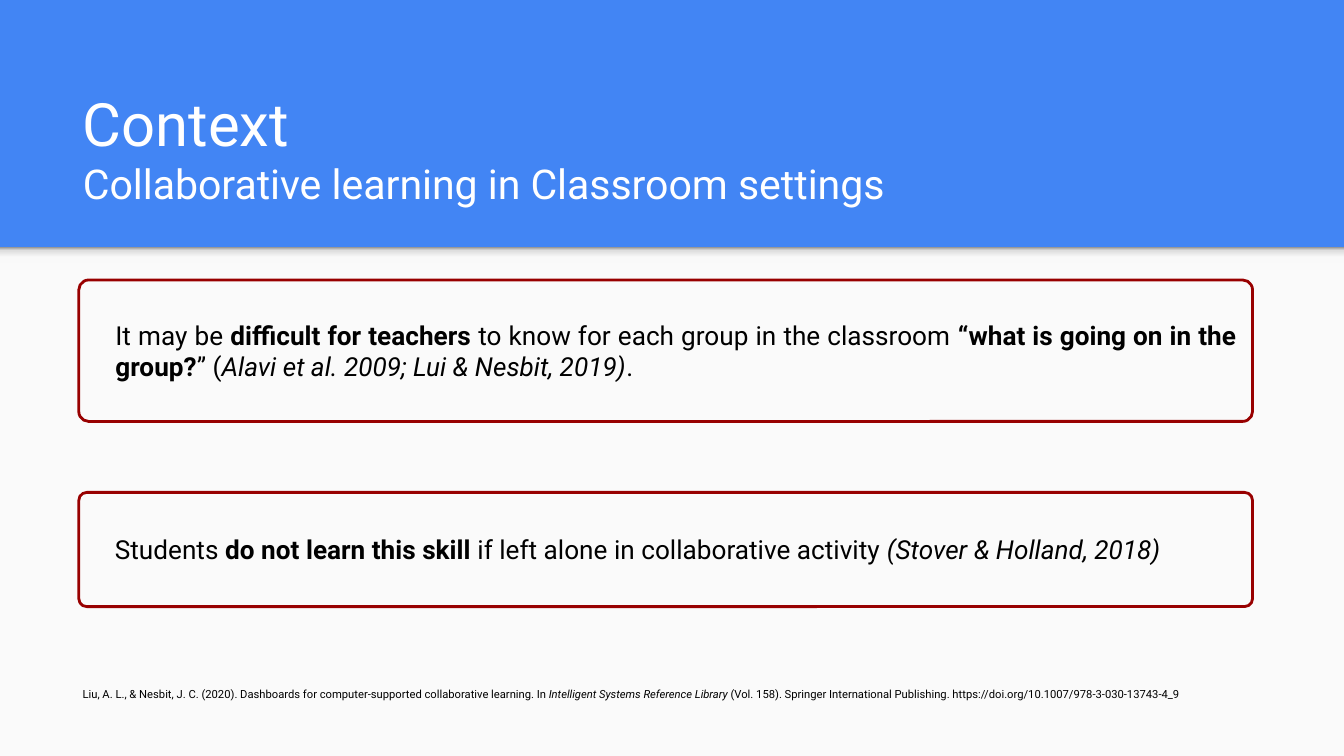
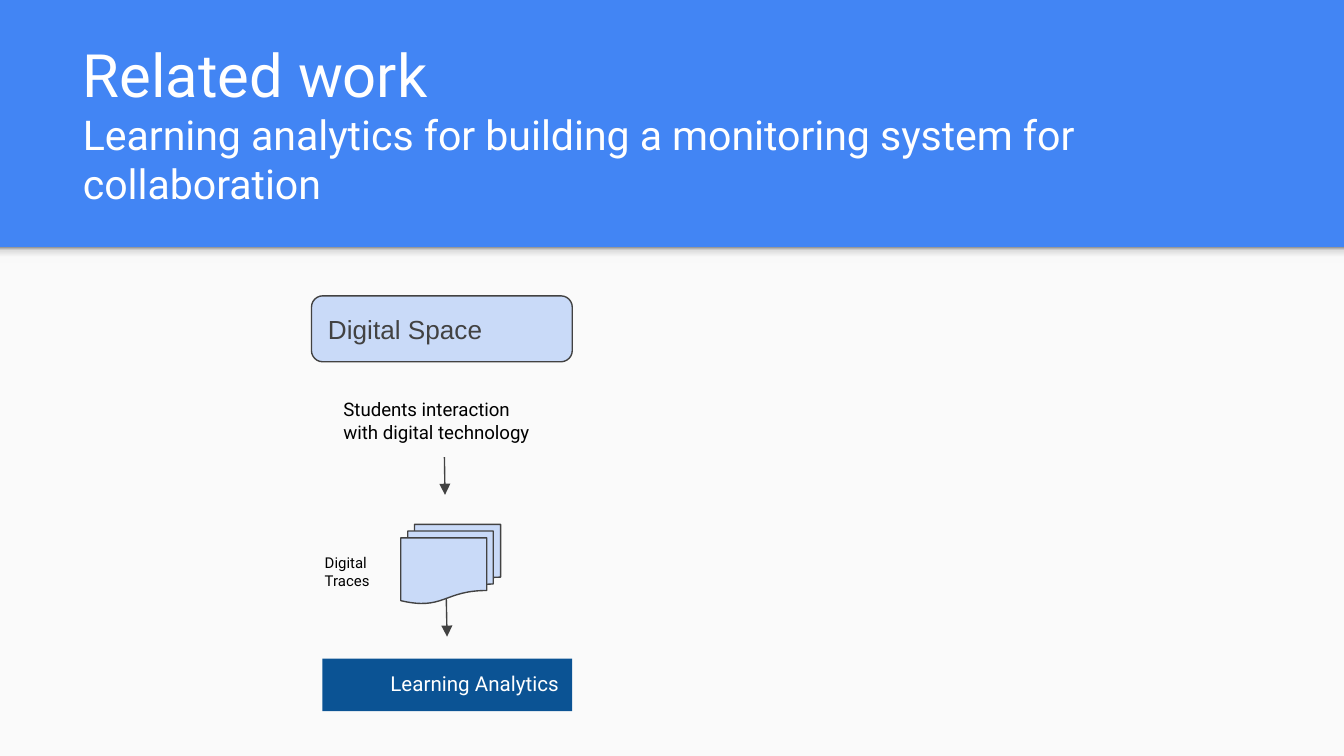
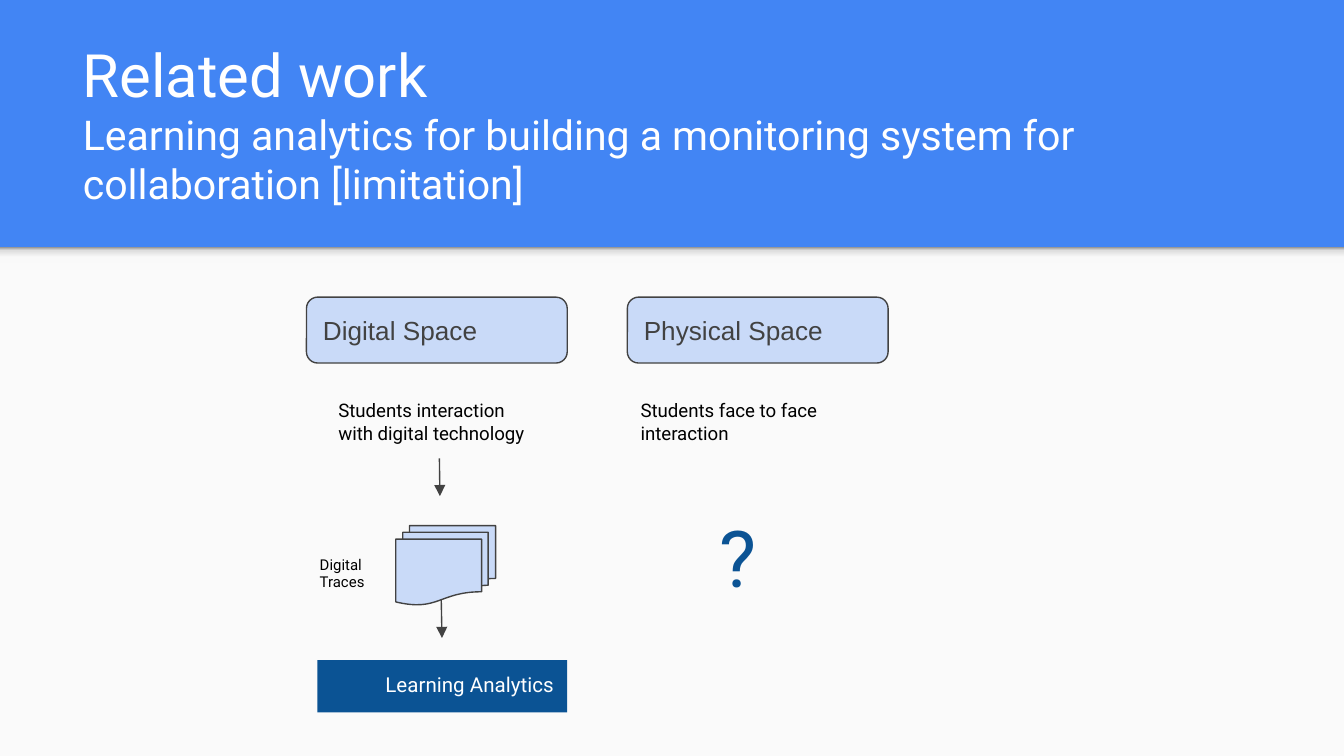
from dataclasses import dataclass
from typing import NamedTuple, Optional

import lxml.etree
import pptx
import pptx.dml.color
import pptx.enum.dml
import pptx.enum.shapes
import pptx.enum.text
import pptx.oxml.ns
import pptx.util

Pt = pptx.util.Pt
SHAPES = pptx.enum.shapes.MSO_SHAPE
ALIGN = pptx.enum.text.PP_ALIGN
ANCHOR = pptx.enum.text.MSO_ANCHOR
AUTO_SIZE = pptx.enum.text.MSO_AUTO_SIZE

COLORS = {
    "band": "4285F4", "panel": "FAFAFA", "white": "FFFFFF", "black": "000000",
    "claim": "980000", "ink": "424242", "space": "C9DAF8", "analytics": "0B5394",
}
SHADE_STOPS = [(0, "F9F9F9"), (36, "F9F9F9"), (80, "DEDEDE"), (100, "999999")]
FONT = "Roboto"
SLIDE_WIDTH, SLIDE_HEIGHT, BAND_HEIGHT = 720, 405, 132.5
TITLE_ONLY = 5


class Run(NamedTuple):
    text: str
    bold: bool = False
    italic: bool = False
    size: Optional[float] = None


@dataclass
class Box:
    """Area of a shape, or of a text box if it has no preset."""
    left: float
    top: float
    width: float
    height: float
    preset: Optional[int] = None
    fill: Optional[str] = None
    line: Optional[str] = None
    line_width: float = 0.75
    corner: Optional[float] = None


def rgb(name: str):
    return pptx.dml.color.RGBColor.from_string(COLORS[name])


def write_text(frame, paragraphs, *, size=10, color="black", font=FONT, align=ALIGN.LEFT,
               anchor=ANCHOR.TOP, margin=0, indent=0, line_spacing=None, space_after=None,
               grow=False):
    """Fill a frame; paragraphs is a string or a list of lists of runs."""
    if isinstance(paragraphs, str):
        paragraphs = [[Run(paragraphs)]]
    frame.word_wrap = True
    frame.auto_size = AUTO_SIZE.SHAPE_TO_FIT_TEXT if grow else AUTO_SIZE.NONE
    frame.vertical_anchor = anchor
    frame.margin_left = frame.margin_right = frame.margin_top = frame.margin_bottom = Pt(7.2)
    for index, runs in enumerate(paragraphs):
        paragraph = frame.add_paragraph() if index else frame.paragraphs[0]
        paragraph.alignment = align
        if margin:
            properties = paragraph._p.get_or_add_pPr()
            properties.set("marL", str(Pt(margin)))
            properties.set("indent", str(Pt(indent)))
        if line_spacing:
            paragraph.line_spacing = line_spacing
        if space_after:
            paragraph.space_after = Pt(space_after)
        for part in runs:
            run = paragraph.add_run()
            run.text = part.text
            run.font.name = font
            run.font.size = Pt(part.size or size)
            run.font.bold, run.font.italic = part.bold, part.italic
            run.font.color.rgb = rgb(color)


def add_box(slide, box: Box, text=None, **text_format):
    area = [Pt(length) for length in (box.left, box.top, box.width, box.height)]
    if box.preset is None:
        shape = slide.shapes.add_textbox(*area)
    else:
        shape = slide.shapes.add_shape(box.preset, *area)
        shape.shadow.inherit = False
        if box.corner is not None:
            shape.adjustments[0] = box.corner
        if box.fill:
            shape.fill.solid()
            shape.fill.fore_color.rgb = rgb(box.fill)
        else:
            shape.fill.background()
        if box.line:
            shape.line.color.rgb = rgb(box.line)
            shape.line.width = Pt(box.line_width)
        else:
            shape.line.fill.background()
    if text:
        write_text(shape.text_frame, text, **text_format)
    return shape


def add_arrow(slide, start, end, source=None):
    """Draw an arrow; with a source it leaves from the middle of its bottom."""
    arrow = slide.shapes.add_connector(
        pptx.enum.shapes.MSO_CONNECTOR.STRAIGHT, *(Pt(value) for value in (*start, *end)))
    if source is not None:
        arrow.begin_connect(source, 2)
    arrow.line.color.rgb = rgb("ink")
    arrow.line.width = Pt(0.75)
    tag = pptx.oxml.ns.qn
    lxml.etree.SubElement(arrow.line._get_or_add_ln(), tag("a:tailEnd"), type="triangle")
    lxml.etree.SubElement(arrow._element.spPr, tag("a:effectLst"))


def decorate_layout(presentation, layout, slide):
    """Give every slide the blue band, the pale panel and the band's shade."""
    background = presentation.slide_master.background.fill
    background.solid()
    background.fore_color.rgb = rgb("band")
    panel = add_box(slide, Box(0, BAND_HEIGHT, SLIDE_WIDTH, SLIDE_HEIGHT - BAND_HEIGHT,
                               SHAPES.RECTANGLE, "panel"))
    shade = add_box(slide, Box(0, BAND_HEIGHT, SLIDE_WIDTH, 8.6, SHAPES.RECTANGLE))
    shade.fill.gradient()
    shade.fill.gradient_angle = 90
    tag = pptx.oxml.ns.qn
    stops = shade._element.spPr.find(".//" + tag("a:gsLst"))
    for stop in list(stops):
        stops.remove(stop)
    for position, color in SHADE_STOPS:
        stop = lxml.etree.SubElement(stops, tag("a:gs"), pos=str(position * 1000))
        lxml.etree.SubElement(stop, tag("a:srgbClr"), val=color)
    for position, shape in enumerate((panel, shade), start=2):
        layout.shapes.element.insert(position, shape.element)


def set_title(slide, heading: str, subtitle: str):
    title = slide.shapes.title
    title.left, title.top, title.width, title.height = Pt(37.2), Pt(58), Pt(647), Pt(60.5)
    write_text(title.text_frame, [[Run(heading, size=32)], [Run(subtitle, size=22)]],
               color="white", anchor=ANCHOR.BOTTOM)


def add_claim(slide, top: float, height: float, runs):
    box = Box(42.2, top, 628.8, height, SHAPES.ROUNDED_RECTANGLE, line="claim",
              line_width=1.5, corner=0.07)
    add_box(slide, box, [runs], size=14, align=ALIGN.JUSTIFY, anchor=ANCHOR.MIDDLE, margin=11)


def add_space(slide, left: float, top: float, name: str, activity: str, activity_shift: float):
    """Head a column with a learning space; return its activity text."""
    add_box(slide, Box(left, top, 139.7, 35.3, SHAPES.ROUNDED_RECTANGLE, "space", "ink",
                       corner=0.17),
            name, size=14, color="ink", font="Arial", anchor=ANCHOR.MIDDLE)
    return add_box(slide, Box(left + activity_shift, top + 47.5, 122.4, 38.9), activity, grow=True)


def add_digital_space(slide, left: float, top: float):
    activity = add_space(slide, left, top, "Digital Space",
                         "Students interaction with digital technology", 10)
    add_box(slide, Box(left + 47.8, top + 122.4, 53.5, 42.5, SHAPES.FLOWCHART_MULTIDOCUMENT,
                       "space", "ink"))
    add_arrow(slide, (left + 71.2, top + 86.4), (left + 71.5, top + 106.6), activity)
    add_box(slide, Box(left, top + 131, 43.2, 33.8), "Digital Traces", size=8, grow=True)
    add_box(slide, Box(left + 5.8, top + 194.4, 133.9, 28.1, SHAPES.RECTANGLE, "analytics"),
            "Learning Analytics", size=11, color="white", align=ALIGN.RIGHT, grow=True)
    add_arrow(slide, (left + 72.2, top + 162), (left + 72.6, top + 182.6))


def build_context(slide):
    set_title(slide, "Context", "Collaborative learning in Classroom settings")
    add_claim(slide, 263.8, 61.2, [
        Run("Students "), Run("do not learn this skill", bold=True),
        Run(" if left alone in collaborative activity "),
        Run("(Stover & Holland, 2018)", italic=True)])
    add_claim(slide, 150, 75.8, [
        Run("It may be "), Run("difficult for teachers", bold=True),
        Run(" to know for each group in the classroom "),
        Run("“what is going on in the group?", bold=True), Run("” ("),
        Run("Alavi et al. 2009; Lui & Nesbit, 2019)", italic=True), Run(".")])
    add_box(slide, Box(37.2, 363, 664.6, 21.6), [[
        Run("Liu, A. L., & Nesbit, J. C. (2020). Dashboards for computer-supported "
            "collaborative learning. In "),
        Run("Intelligent Systems Reference Library", italic=True),
        Run(" (Vol. 158). Springer International Publishing. "
            "https://doi.org/10.1007/978-3-030-13743-4_9")]],
        size=6, margin=24, indent=-24, line_spacing=1.15, space_after=11, grow=True)


def build_related_work(slide):
    set_title(slide, "Related work",
              "Learning analytics for building a monitoring system for collaboration")
    add_digital_space(slide, 166.9, 158.5)


def build_limitation(slide):
    set_title(slide, "Related work", "Learning analytics for building a monitoring system for "
                                     "collaboration [limitation]")
    top, physical_left = 159.2, 336.1
    add_digital_space(slide, 164.2, top)
    add_space(slide, physical_left, top, "Physical Space", "Students face to face interaction", 0)
    add_box(slide, Box(physical_left + 42, top + 106.5, 71.3, 65.5), "?",
            size=42, color="analytics", grow=True)


def main():
    presentation = pptx.Presentation()
    presentation.slide_width, presentation.slide_height = Pt(SLIDE_WIDTH), Pt(SLIDE_HEIGHT)
    layout = presentation.slide_layouts[TITLE_ONLY]
    for number, build in enumerate((build_context, build_related_work, build_limitation)):
        slide = presentation.slides.add_slide(layout)
        if number == 0:
            decorate_layout(presentation, layout, slide)
        build(slide)
    presentation.save("out.pptx")


if __name__ == "__main__":
    main()
